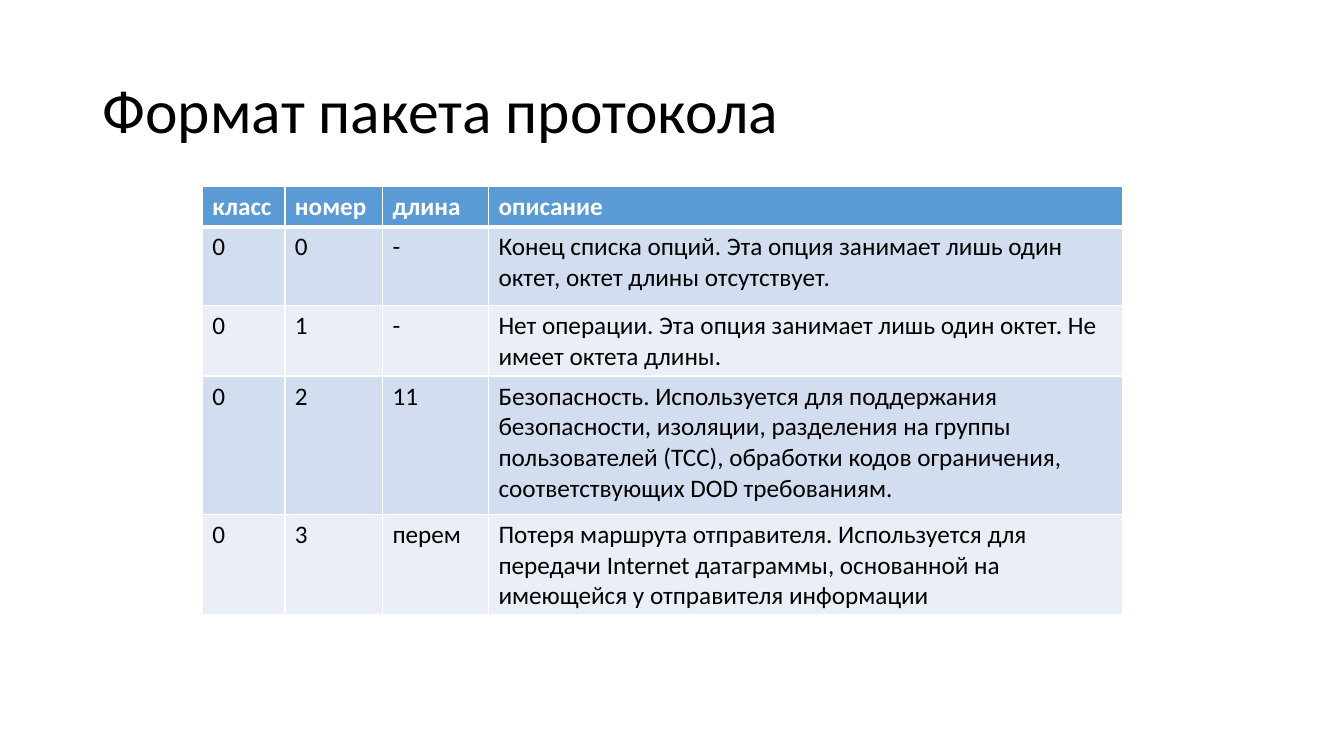
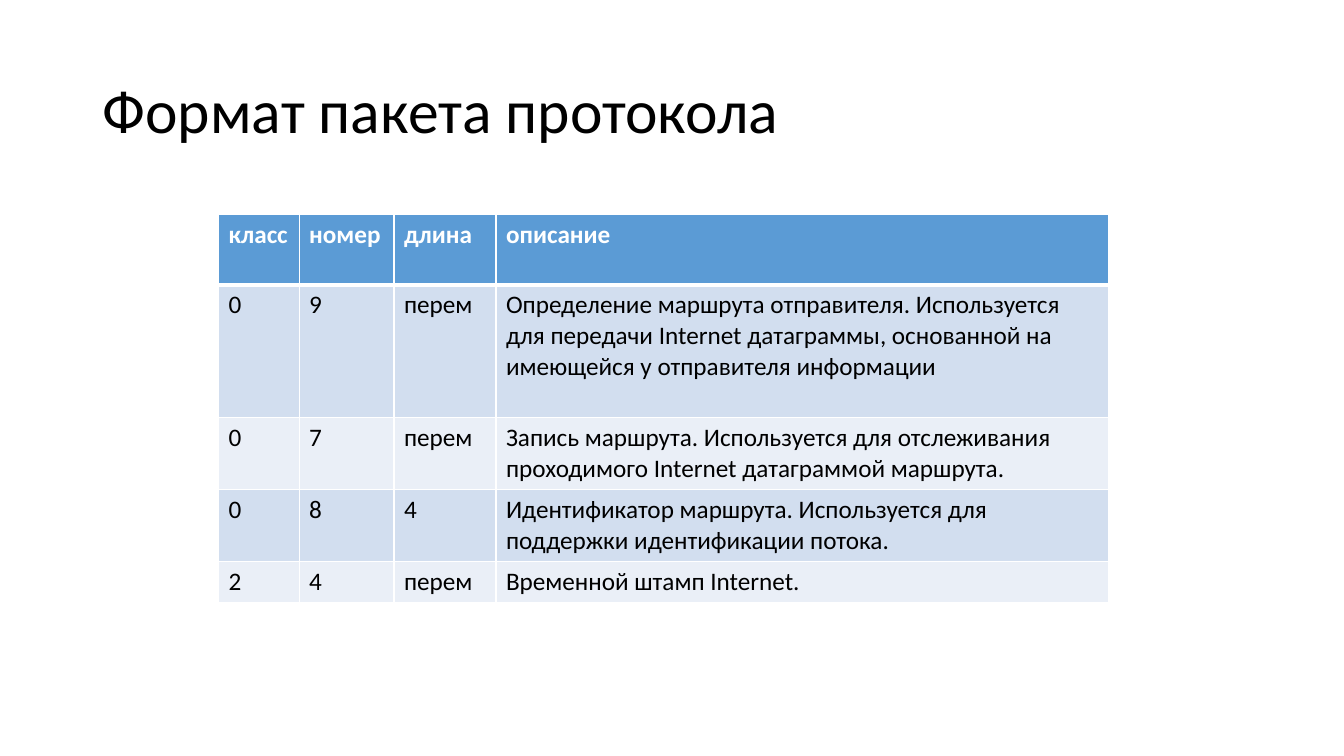
import dataclasses
import typing

import lxml.etree
import pptx
import pptx.dml.color
import pptx.enum.text
import pptx.oxml.ns
import pptx.slide
import pptx.table
import pptx.text.text
import pptx.util

Cm = pptx.util.Cm
Pt = pptx.util.Pt


@dataclasses.dataclass(frozen=True)
class Theme:
    font: str = "Calibri"
    title_size: int = 44
    table_size: int = 18
    text: str = "000000"
    header_text: str = "FFFFFF"
    header_fill: str = "5B9BD5"
    band_fills: tuple[str, str] = ("D2DEEF", "EAEFF7")
    border: str = "FFFFFF"
    border_width: int = 1
    header_rule_width: int = 3


@dataclasses.dataclass(frozen=True)
class OptionTable:
    """One table of packet options; lengths are in centimetres."""
    left: float
    top: float
    column_widths: tuple[float, ...]
    row_heights: tuple[float, ...]
    options: tuple[tuple[str, ...], ...]


THEME = Theme()
TITLE = "Формат пакета протокола"
HEADER = ("класс", "номер", "длина", "описание")
OPTION_TABLES = (
    OptionTable(
        5.1, 4.7, (2.08, 2.46, 2.67, 15.98), (1.0, 1.98, 1.78, 3.48, 2.54),
        (
            ("0", "0", "-", "Конец списка опций. Эта опция занимает лишь один октет, "
             "октет длины отсутствует."),
            ("0", "1", "-", "Нет операции. Эта опция занимает лишь один октет. "
             "Не имеет октета длины."),
            ("0", "2", "11", "Безопасность. Используется для поддержания безопасности, "
             "изоляции, разделения на группы пользователей (TCC), обработки кодов "
             "ограничения, соответствующих DOD требованиям."),
            ("0", "3", "перем", "Потеря маршрута отправителя. Используется для передачи "
             "Internet датаграммы, основанной на имеющейся у отправителя информации"),
        ),
    ),
    OptionTable(
        5.51, 5.4, (2.03, 2.39, 2.57, 15.44), (1.78, 3.35, 1.81, 1.81, 1.03),
        (
            ("0", "9", "перем", "Определение маршрута отправителя. Используется для "
             "передачи Internet датаграммы, основанной на имеющейся у отправителя "
             "информации"),
            ("0", "7", "перем", "Запись маршрута. Используется для отслеживания "
             "проходимого Internet датаграммой маршрута."),
            ("0", "8", "4", "Идентификатор маршрута. Используется для поддержки "
             "идентификации потока."),
            ("2", "4", "перем", "Временной штамп Internet."),
        ),
    ),
)


def apply_format(target: typing.Any, values: dict[str, typing.Any]) -> None:
    for name, value in values.items():
        setattr(target, name, value)


def write_text(paragraph: pptx.text.text._Paragraph, text: str, size: int,
               color: str, bold: bool = False) -> None:
    run = paragraph.add_run()
    run.text = text
    apply_format(run.font, {"name": THEME.font, "size": Pt(size), "bold": bold})
    run.font.color.rgb = pptx.dml.color.RGBColor.from_string(color)


def add_title(slide: pptx.slide.Slide) -> None:
    frame = slide.shapes.add_textbox(Cm(2.33), Cm(1.01), Cm(29.21), Cm(3.68)).text_frame
    apply_format(frame, {
        "word_wrap": True,
        "vertical_anchor": pptx.enum.text.MSO_ANCHOR.MIDDLE,
    })
    paragraph = frame.paragraphs[0]
    paragraph.line_spacing = 0.9
    write_text(paragraph, TITLE, THEME.title_size, THEME.text)


def add_borders(cell: pptx.table._Cell, row_index: int) -> None:
    """Draw the four cell edges, with a heavier rule under the header row."""
    widths = dict.fromkeys(("lnL", "lnR", "lnT", "lnB"), THEME.border_width)
    if row_index < 2:
        widths["lnB" if row_index == 0 else "lnT"] = THEME.header_rule_width
    qualified = pptx.oxml.ns.qn
    properties = cell._tc.get_or_add_tcPr()
    for edge, width in widths.items():
        line = lxml.etree.SubElement(properties, qualified(f"a:{edge}"), w=str(Pt(width)))
        fill = lxml.etree.SubElement(line, qualified("a:solidFill"))
        lxml.etree.SubElement(fill, qualified("a:srgbClr"), val=THEME.border)


def format_cell(cell: pptx.table._Cell, text: str, row_index: int) -> None:
    is_header = row_index == 0
    fill = THEME.header_fill if is_header else THEME.band_fills[(row_index - 1) % 2]
    color = THEME.header_text if is_header else THEME.text
    add_borders(cell, row_index)
    cell.fill.solid()
    cell.fill.fore_color.rgb = pptx.dml.color.RGBColor.from_string(fill)
    write_text(cell.text_frame.paragraphs[0], text, THEME.table_size, color, is_header)


def add_option_table(slide: pptx.slide.Slide, content: OptionTable) -> None:
    rows = (HEADER, *content.options)
    table = slide.shapes.add_table(
        len(rows), len(HEADER), Cm(content.left), Cm(content.top),
        Cm(sum(content.column_widths)), Cm(sum(content.row_heights)),
    ).table
    for column, width in zip(table.columns, content.column_widths):
        column.width = Cm(width)
    for row, height in zip(table.rows, content.row_heights):
        row.height = Cm(height)
    for row_index, texts in enumerate(rows):
        for column_index, text in enumerate(texts):
            format_cell(table.cell(row_index, column_index), text, row_index)


def main() -> None:
    presentation = pptx.Presentation()
    apply_format(presentation, {"slide_width": Cm(33.87), "slide_height": Cm(19.05)})
    blank_layout = presentation.slide_layouts[6]
    for content in OPTION_TABLES:
        slide = presentation.slides.add_slide(blank_layout)
        add_title(slide)
        add_option_table(slide, content)
    presentation.save("out.pptx")


if __name__ == "__main__":
    main()
